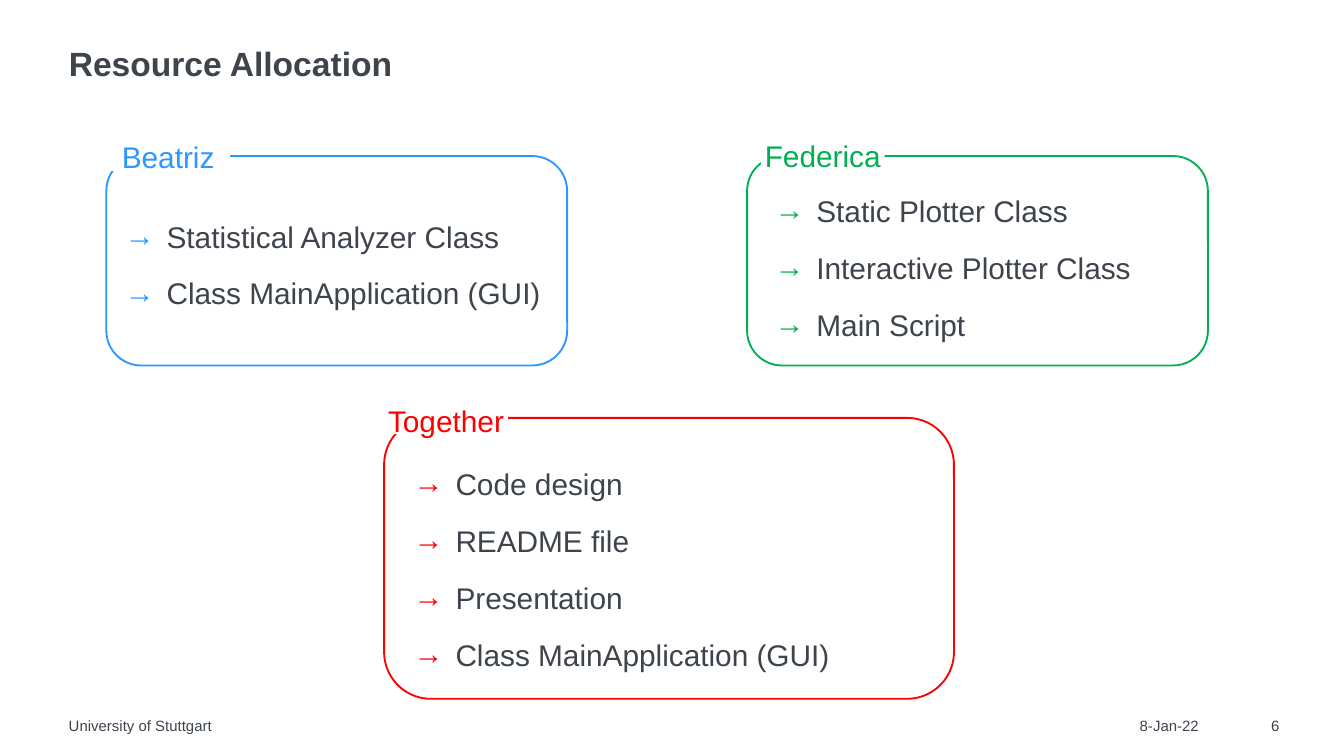
from lxml.etree import SubElement
from pptx import Presentation
from pptx.dml.color import RGBColor
from pptx.enum.shapes import MSO_SHAPE
from pptx.enum.text import MSO_ANCHOR, PP_ALIGN
from pptx.oxml.ns import qn
from pptx.util import Cm, Pt

COLORS = {
    "text": "3E444C",
    "blue": "2C98FF",
    "green": "00B050",
    "red": "FF0000",
    "white": "FFFFFF",
}
SPACED = {"line_spacing": 1.2, "space_before": Pt(7.5)}
INDENT = Cm(0.79)

CARDS = [
    {
        "name": "Beatriz", "color": "blue", "frame": (2.01, 2.95, 8.71, 3.96),
        "label_at": (2.01, 2.49), "list_at": (2.36, 3.99),
        "tasks": ["Statistical Analyzer Class", "Class MainApplication (GUI)"],
    },
    {
        "name": "Federica", "color": "green", "frame": (14.12, 2.95, 8.71, 3.96),
        "label_at": (14.38, 2.46), "list_at": (14.64, 3.5),
        "tasks": ["Static Plotter Class", "Interactive Plotter Class", "Main Script"],
    },
    {
        "name": "Together", "color": "red", "frame": (7.26, 7.9, 10.77, 5.31),
        "label_at": (7.26, 7.47), "list_at": (7.82, 8.66),
        "tasks": ["Code design", "README file", "Presentation",
                  "Class MainApplication (GUI)"],
    },
]
FOOTERS = [
    ("8-Jan-22", 21.54, 1.47, PP_ALIGN.LEFT),
    ("University of Stuttgart", 1.3, 16.84, PP_ALIGN.LEFT),
    ("6", 23.57, 0.61, PP_ALIGN.RIGHT),
]


def rgb(name):
    return RGBColor.from_string(COLORS[name])


def lengths(values):
    return [Cm(value) for value in values]


class SlideBuilder:
    font = "Arial"

    def __init__(self, page):
        self.page = page

    def add_text(self, box, lines, size, color="text", bold=False,
                 anchor=MSO_ANCHOR.TOP, **paragraph_format):
        frame = box.text_frame
        frame_format = {"margin_left": 0, "margin_top": 0, "margin_right": 0,
                        "margin_bottom": 0, "word_wrap": True,
                        "vertical_anchor": anchor}
        for key, value in frame_format.items():
            setattr(frame, key, value)
        for index, line in enumerate(lines):
            para = frame.add_paragraph() if index else frame.paragraphs[0]
            for key, value in paragraph_format.items():
                setattr(para, key, value)
            span = para.add_run()
            span.text = line
            font_format = {"name": self.font, "size": Pt(size), "bold": bold}
            for key, value in font_format.items():
                setattr(span.font, key, value)
            span.font.color.rgb = rgb(color)

    def title(self, text):
        box = self.page.shapes.title
        box.left, box.top, box.width, box.height = lengths((1.3, 0.89, 22.91, 0.71))
        self.add_text(box, [text], 18, bold=True, anchor=MSO_ANCHOR.MIDDLE,
                      alignment=PP_ALIGN.LEFT, line_spacing=0.9)

    def footer(self, text, left, width, alignment):
        box = self.page.shapes.add_textbox(*lengths((left, 13.54, width, 0.33)))
        self.add_text(box, [text], 8, alignment=alignment)

    def bullets(self, box, color):
        for para in box.text_frame.paragraphs:
            properties = para._p.get_or_add_pPr()
            properties.set("marL", str(INDENT))
            properties.set("indent", str(-INDENT))
            bullet_color = SubElement(properties, qn("a:buClr"))
            SubElement(bullet_color, qn("a:srgbClr"), val=COLORS[color])
            SubElement(properties, qn("a:buFont"), typeface=self.font)
            SubElement(properties, qn("a:buChar"), char="→")

    def task_list(self, group, place, tasks, color):
        height = 1.1 * len(tasks) - 0.34
        box = group.shapes.add_textbox(*lengths((*place, 8.86, height)))
        self.add_text(box, tasks, 16, alignment=PP_ALIGN.JUSTIFY, **SPACED)
        self.bullets(box, color)

    def outline(self, group, place, color):
        box = group.shapes.add_shape(MSO_SHAPE.ROUNDED_RECTANGLE, *lengths(place))
        box.shadow.inherit = False
        box.fill.background()
        box.line.color.rgb = rgb(color)
        box.line.width = Pt(1)

    def label(self, group, place, text, color):
        box = group.shapes.add_shape(MSO_SHAPE.RECTANGLE, *lengths((*place, 2.34, 0.74)))
        box.shadow.inherit = False
        box.fill.solid()
        box.fill.fore_color.rgb = rgb("white")
        box.line.fill.background()
        self.add_text(box, [text], 16, color, alignment=PP_ALIGN.CENTER, **SPACED)

    def card(self, name, color, frame, label_at, list_at, tasks):
        group = self.page.shapes.add_group_shape()
        self.task_list(group, list_at, tasks, color)
        self.outline(group, frame, color)
        self.label(group, label_at, name, color)


def main():
    deck = Presentation()
    deck.slide_width, deck.slide_height = Cm(25.4), Cm(14.29)
    builder = SlideBuilder(deck.slides.add_slide(deck.slide_layouts[5]))
    builder.title("Resource Allocation")
    for footer in FOOTERS:
        builder.footer(*footer)
    for card in CARDS:
        builder.card(**card)
    deck.save("out.pptx")


if __name__ == "__main__":
    main()
